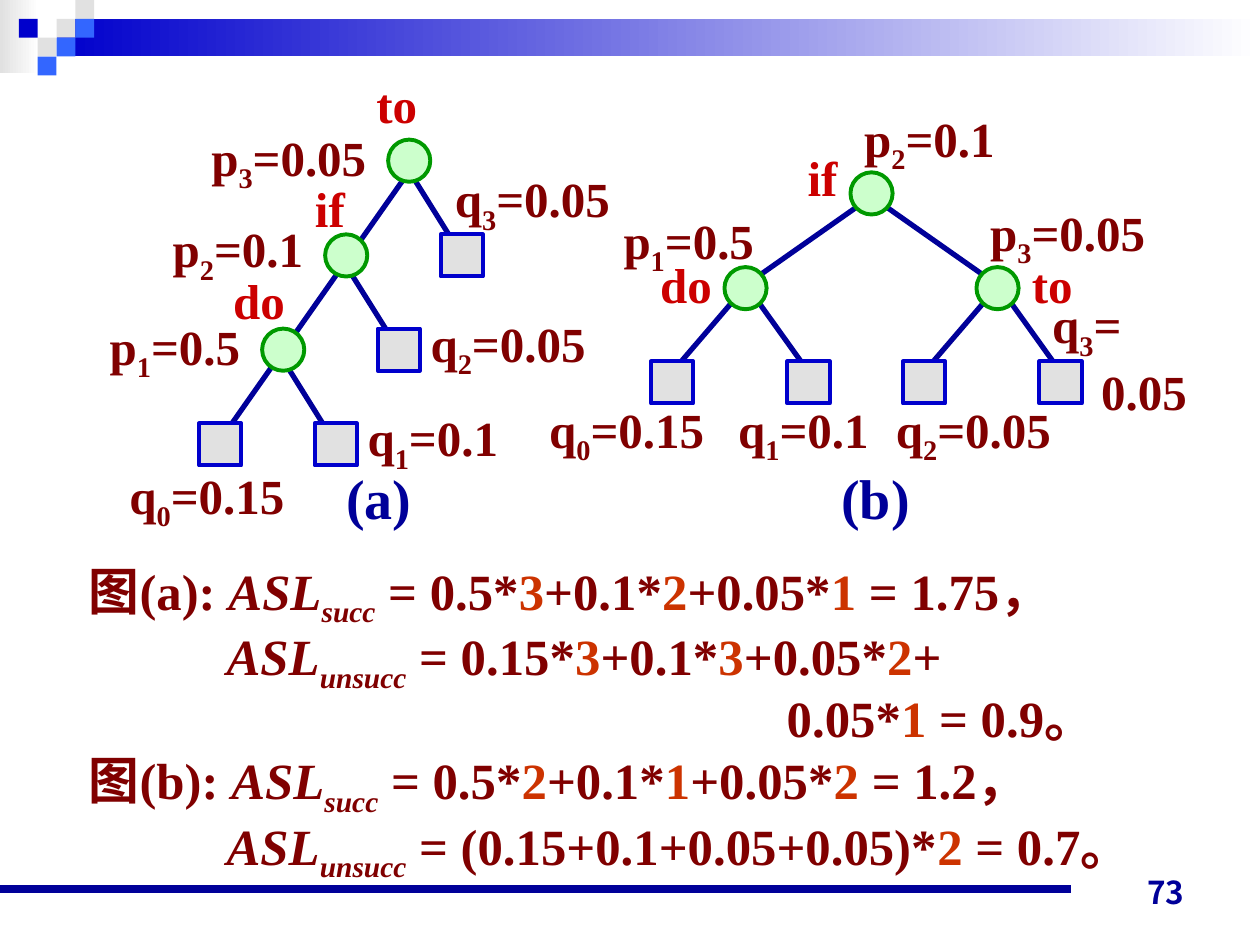
"""Build a slide comparing two search trees and their average search lengths."""
from dataclasses import dataclass

from lxml import etree
from pptx import Presentation
from pptx import util as u
from pptx.dml.color import RGBColor
from pptx.enum import shapes, text
from pptx.oxml.ns import qn


@dataclass(frozen=True)
class Theme:
    latin: str = "Times New Roman"
    asian: str = "Noto Sans CJK JP"
    navy: str = "000099"
    blue: str = "0000CC"
    sky: str = "3366FF"
    grey: str = "E1E1E1"
    white: str = "FFFFFF"
    mint: str = "CCFFCC"
    green: str = "009900"
    red: str = "CC0000"
    maroon: str = "800000"
    orange: str = "CC3300"
    number_size: int = 18
    label_size: int = 28
    formula_size: int = 29
    caption_size: int = 32
    outline: float = 2.25
    edge: float = 3
    rule: float = 4.5


theme = Theme()
presentation = Presentation()
presentation.slide_width, presentation.slide_height = u.Cm(25.4), u.Cm(19.05)
slide = presentation.slides.add_slide(presentation.slide_layouts[6])


def add_box(kind, left, top, width, height, colours, outline=None):
    shape = slide.shapes.add_shape(kind, u.Cm(left), u.Cm(top), u.Cm(width), u.Cm(height))
    shape.shadow.inherit = False
    if len(colours) == 1:
        shape.fill.solid()
        shape.fill.fore_color.rgb = RGBColor.from_string(colours[0])
    else:
        shape.fill.gradient()
        shape.fill.gradient_angle = 0
        for stop, colour in zip(shape.fill.gradient_stops, colours):
            stop.color.rgb = RGBColor.from_string(colour)
    if outline:
        shape.line.color.rgb = RGBColor.from_string(outline)
        shape.line.width = u.Pt(theme.outline)
    else:
        shape.line.fill.background()


def add_text(left, top, width, height, rows, size, colour, font=theme.latin, wrap=False):
    """Rows are (indent, runs); runs are (text, style letters: s sub, i italic, h highlight)."""
    box = slide.shapes.add_textbox(u.Cm(left), u.Cm(top), u.Cm(width), u.Cm(height))
    frame = box.text_frame
    frame.word_wrap = wrap
    if not wrap:
        frame.auto_size = text.MSO_AUTO_SIZE.SHAPE_TO_FIT_TEXT
    for index, (indent, runs) in enumerate(rows):
        paragraph = frame.add_paragraph() if index else frame.paragraphs[0]
        if indent:
            paragraph._p.get_or_add_pPr().set("marL", str(u.Cm(indent)))
        for content, style in runs:
            run = paragraph.add_run()
            run.text = content
            run.font.name, run.font.size, run.font.bold = font, u.Pt(size), True
            run.font.italic = "i" in style
            run.font.color.rgb = RGBColor.from_string(theme.orange if "h" in style else colour)
            properties = run._r.get_or_add_rPr()
            etree.SubElement(properties, qn("a:ea")).set("typeface", theme.asian)
            if "s" in style:
                properties.set("baseline", "-25000")
    return frame


rectangle, oval = shapes.MSO_SHAPE.RECTANGLE, shapes.MSO_SHAPE.OVAL
tile = 0.38
add_box(rectangle, 0, 0, 0.79, 1.47, [theme.grey, theme.white])
add_box(rectangle, 3 * tile, tile, 24.26, 2 * tile, [theme.blue, theme.white])
for column, row, colour in [
    (3, 1, theme.grey), (4, 0, theme.grey), (4, 1, theme.sky), (2, 2, theme.grey),
    (1, 1, theme.blue), (3, 2, theme.sky), (2, 3, theme.sky),
]:
    add_box(rectangle, column * tile, row * tile, tile, tile, [colour])

inner_nodes = {
    "a to": (8.25, 3.24), "a if": (6.98, 5.15), "a do": (5.71, 7.05),
    "b if": (17.57, 3.9), "b do": (15.03, 5.81), "b to": (20.11, 5.81),
}
leaf_nodes = {
    "a q0": (4.44, 8.96), "a q1": (6.77, 8.96), "a q2": (8.04, 7.05), "a q3": (9.31, 5.15),
    "b q0": (13.55, 7.71), "b q1": (16.3, 7.71), "b q2": (18.63, 7.71), "b q3": (21.38, 7.71),
}
centres = inner_nodes | leaf_nodes
inset = 0.21
lines = [((0, 17.93), (21.59, 17.93), theme.rule)]
for parent, child, start_side, end_side, end_drop in [
    ("a to", "a q0", 0, -1, 1), ("a to", "a q3", 0, 0, 0),
    ("a if", "a q2", 0, 0, 0), ("a do", "a q1", 0, 0, 0),
    ("b if", "b do", -1, 1, -1), ("b if", "b to", 1, -1, -1),
    ("b do", "b q0", -1, 0, -1), ("b do", "b q1", 1, 0, -1),
    ("b to", "b q2", -1, 0, -1), ("b to", "b q3", 1, 0, -1),
]:
    (start_x, start_y), (end_x, end_y) = centres[parent], centres[child]
    start = (start_x + start_side * inset, start_y + inset)
    end = (end_x + end_side * inset, end_y + end_drop * inset)
    lines.append((start, end, theme.edge))

for start, end, width in lines:
    points = [u.Cm(value) for value in (*start, *end)]
    connector = slide.shapes.add_connector(shapes.MSO_CONNECTOR.STRAIGHT, *points)
    connector.line.color.rgb = RGBColor.from_string(theme.navy)
    connector.line.width = u.Pt(width)
    etree.SubElement(connector._element.spPr, qn("a:effectLst"))

node = 0.85
for kind, places, fill, outline in [
    (oval, inner_nodes, theme.mint, theme.green),
    (rectangle, leaf_nodes, theme.grey, theme.blue),
]:
    for x, y in places.values():
        add_box(kind, x - node / 2, y - node / 2, node, node, [fill], outline)

word_widths = {"do": 1.56, "if": 1.13, "to": 1.34}
for word, left, top in [
    ("do", 4.45, 5.33), ("if", 6.1, 3.48), ("to", 7.34, 1.37),
    ("do", 13.06, 5), ("if", 16.03, 2.84), ("to", 20.55, 5),
]:
    add_text(left, top, word_widths[word], 1.45, [(0, [(word, "")])], theme.label_size, theme.red)

for letter, digit, value, left, top in [
    ("q", "0", "0.15", 2.36, 9.25), ("q", "1", "0.1", 7.16, 8.1),
    ("p", "1", "0.5", 1.96, 6.25), ("q", "2", "0.05", 8.43, 6.2),
    ("p", "2", "0.1", 3.23, 4.29), ("q", "3", "0.05", 8.92, 3.28),
    ("p", "3", "0.05", 4.01, 2.44), ("q", "0", "0.15", 10.82, 7.92),
    ("q", "1", "0.1", 14.63, 7.92), ("q", "2", "0.05", 17.81, 7.92),
    ("p", "1", "0.5", 12.32, 4.11), ("p", "2", "0.1", 17.17, 2.06),
    ("p", "3", "0.05", 19.71, 3.96),
]:
    runs = [(letter, ""), (digit, "s"), (f"={value}", "")]
    width = 3.63 if len(value) == 4 else 3.14
    add_text(left, top, width, 1.6, [(0, runs)], theme.label_size, theme.maroon)

split_label = [(0, [("q", ""), ("3", "s"), ("=", "")]), (0.99, [("0.05", "")])]
add_text(20.96, 5.82, 3.23, 2.79, split_label, theme.label_size, theme.maroon)

for caption, left, width in [("(a)", 6.73, 1.83), ("(b)", 16.71, 1.9)]:
    add_text(left, 9.21, width, 1.63, [(0, [(caption, "")])], theme.caption_size, theme.navy)

formula_rows = []
for indent, lead, subscript, expression in [
    (0, "图(a): ", "succ", " = 0.5*|3|+0.1*|2|+0.05*|1| = 1.75，"),
    (2.78, "", "unsucc", " = 0.15*|3|+0.1*|3|+0.05*|2|+"),
    (14.07, "", "", "0.05*|1| = 0.9。"),
    (0, "图(b): ", "succ", " = 0.5*|2|+0.1*|1|+0.05*|2| = 1.2，"),
    (2.78, "", "unsucc", " = (0.15+0.1+0.05+0.05)*|2| = 0.7。"),
]:
    runs = [(lead, "")] if lead else []
    if subscript:
        runs += [("ASL", "i"), (subscript, "is")]
    runs += [(part, "h" if index % 2 else "") for index, part in enumerate(expression.split("|"))]
    formula_rows.append((indent, runs))
formulas = add_text(1.54, 11.15, 23.27, 6.73, formula_rows, theme.formula_size, theme.maroon, wrap=True)
for paragraph in formulas.paragraphs:
    paragraph.line_spacing = 0.95

page_number = add_text(18.21, 17.22, 5.92, 1.27, [(0, [("73", "")])],
                       theme.number_size, theme.navy, theme.asian, wrap=True)
page_number.vertical_anchor = text.MSO_ANCHOR.BOTTOM
page_number.paragraphs[0].alignment = text.PP_ALIGN.RIGHT

presentation.save("out.pptx")
